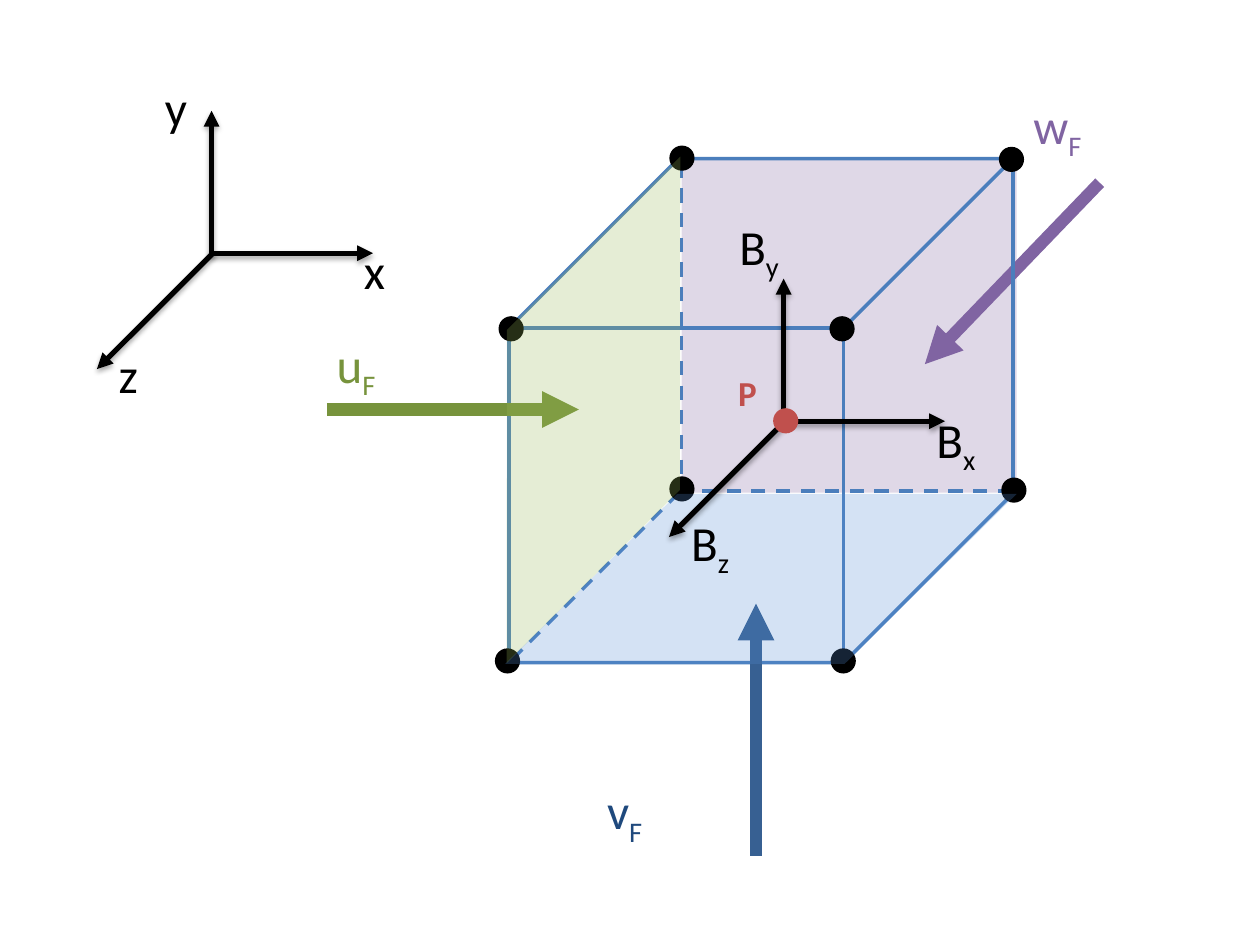
from lxml.etree import SubElement
from pptx import Presentation
from pptx.dml.color import RGBColor
from pptx.enum.dml import MSO_LINE
from pptx.enum.shapes import MSO_CONNECTOR, MSO_SHAPE
from pptx.enum.text import MSO_ANCHOR, PP_ALIGN
from pptx.oxml.ns import qn
from pptx.util import Pt

COLORS = {
    "edge": "4B7EBC", "black": "000000", "point": "C0504D",
    "w": "8064A2", "w face": "8064A2",
    "u": "77933C", "u face": "9BBB59",
    "v": "376092", "v face": "558ED5", "v label": "1F497D",
}
DOT = 14.4


def add_filled(group, kind, frame, color, alpha=100, skew=None, rotation=0):
    """Add a borderless filled shape with optional opacity, skew and rotation."""
    shape = group.shapes.add_shape(kind, *map(Pt, frame))
    shape.shadow.inherit = False
    shape.fill.solid()
    shape.fill.fore_color.rgb = RGBColor.from_string(COLORS[color])
    shape.line.fill.background()
    shape.rotation = rotation
    if skew is not None:
        shape.adjustments[0] = skew
    if alpha < 100:
        tint = shape.fill._xPr.find(".//" + qn("a:srgbClr"))
        SubElement(tint, qn("a:alpha"), val=str(alpha * 1000))


def add_line(group, ends, color, width, arrow=True, shadow=False):
    """Add a straight arrow, or a dashed line when arrow is False."""
    line = group.shapes.add_connector(MSO_CONNECTOR.STRAIGHT, *map(Pt, ends))
    line.line.color.rgb = RGBColor.from_string(COLORS[color])
    line.line.width = Pt(width)
    if arrow:
        SubElement(line.line._get_or_add_ln(), qn("a:tailEnd"), type="triangle")
    else:
        line.line.dash_style = MSO_LINE.DASH
    effects = SubElement(line._element.spPr, qn("a:effectLst"))
    if shadow:
        cast = SubElement(effects, qn("a:outerShdw"), blurRad=str(Pt(3.1)),
                          dist=str(Pt(1.8)), dir="5400000", rotWithShape="0")
        tint = SubElement(cast, qn("a:srgbClr"), val=COLORS["black"])
        SubElement(tint, qn("a:alpha"), val="35000")


deck = Presentation()
deck.slide_width, deck.slide_height = Pt(720), Pt(540)
page = deck.slides.add_slide(deck.slide_layouts[6])
cell = page.shapes.add_group_shape()
axes = page.shapes.add_group_shape()

# Back face and the flow through it
add_filled(cell, MSO_SHAPE.PARALLELOGRAM, (389.5, 91.4, 191.5, 190.1), "w face", 25, 0)
add_line(cell, (628.4, 104.4, 528.5, 208.1), "w", 7)

# Cube outline, hidden edges and corners
cube = cell.shapes.add_shape(MSO_SHAPE.CUBE, Pt(290.9), Pt(90.7), Pt(288), Pt(288))
cube.adjustments[0] = 0.336
cube.shadow.inherit = False
cube.fill.background()
cube.line.color.rgb = RGBColor.from_string(COLORS["edge"])
cube.line.width = Pt(2)

hidden_edges = [
    (389.5, 93.6, 389.5, 280.6),
    (578.2, 280.6, 389.5, 280.6),
    (388.1, 281.5, 290.9, 378.7),
]
for ends in hidden_edges:
    add_line(cell, ends, "edge", 2, arrow=False)

corners = [
    (290, 377.7), (389.7, 279.4), (292.1, 187.9), (389.7, 90.4),
    (578, 91.1), (579.4, 280.1), (481.9, 377.7), (481.2, 187.9),
]
for x, y in corners:
    add_filled(cell, MSO_SHAPE.OVAL, (x - DOT / 2, y - DOT / 2, DOT, DOT), "black")

# Left and bottom faces lie over their flow arrows
covered_flows = [
    ("u", (186.8, 234, 330.8, 234), (201.6, 167, 275, 134.6), 1.002, 135),
    ("v", (432, 488.9, 432, 344.9), (288.7, 282.2, 292.3, 97.2), 1.012, 0),
]
for flow, ends, frame, skew, rotation in covered_flows:
    add_line(cell, ends, flow, 7)
    add_filled(cell, MSO_SHAPE.PARALLELOGRAM, frame, flow + " face", 25, skew, rotation)

# The same three axes at the cell centre and at the upper left
axis_ends = [(0, 0, 93.6, 0), (1.4, 0.7, 1.4, -81.4), (2.2, 0, -64.1, 66.2)]
for group, left, top in [(cell, 446.4, 240.7), (axes, 119.5, 144.7)]:
    for x1, y1, x2, y2 in axis_ends:
        add_line(group, (left + x1, top + y1, left + x2, top + y2), "black", 3, shadow=True)
add_filled(cell, MSO_SHAPE.OVAL, (449 - DOT / 2, 240.5 - DOT / 2, DOT, DOT), "point")

# Labels: group, base, subscript, frame, colour, size, bold
labels = [
    (cell, "w", "F", (583.4, 51.1, 88.6, 44.6), "w", 28, False),
    (cell, "u", "F", (185.3, 187.4, 88.6, 44.6), "u", 28, False),
    (cell, "v", "F", (339.8, 442.6, 92.9, 44.6), "v label", 28, False),
    (cell, "P", "", (414.7, 208.6, 25.2, 31.7), "point", 20, True),
    (cell, "B", "y", (415.4, 120.2, 70.6, 40.3), "black", 28, False),
    (cell, "B", "x", (528, 230.4, 64.8, 40.3), "black", 28, False),
    (cell, "B", "z", (387.9, 289.4, 69.8, 40.3), "black", 28, False),
    (axes, "y", "", (87.1, 40.5, 27.4, 40.3), "black", 28, False),
    (axes, "x", "", (200.9, 134.1, 27.4, 40.3), "black", 28, False),
    (axes, "z", "", (60.7, 193.5, 27.4, 40.3), "black", 28, False),
]
for group, base, subscript, frame, color, size, bold in labels:
    box = group.shapes.add_textbox(*map(Pt, frame))
    box.text_frame.word_wrap = base != "P"
    box.text_frame.vertical_anchor = MSO_ANCHOR.TOP
    para = box.text_frame.paragraphs[0]
    para.alignment = PP_ALIGN.LEFT
    for text, baseline in [(base, 0), (subscript, -25000)]:
        if not text:
            continue
        span = para.add_run()
        span.text = text
        span.font.color.rgb = RGBColor.from_string(COLORS[color])
        for key, value in {"name": "Calibri", "size": Pt(size), "bold": bold}.items():
            setattr(span.font, key, value)
        if baseline:
            span._r.get_or_add_rPr().set("baseline", str(baseline))

deck.save("out.pptx")
